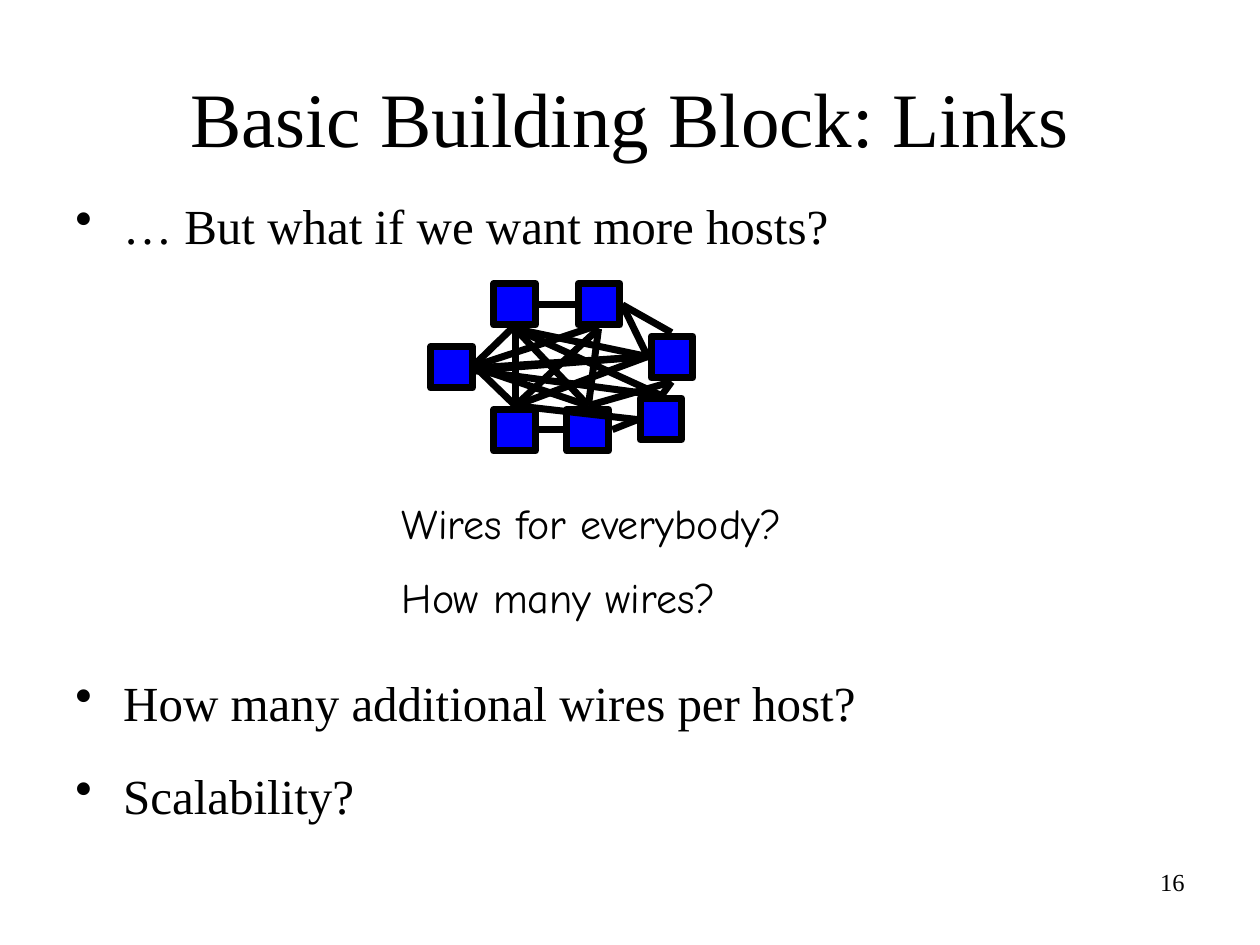
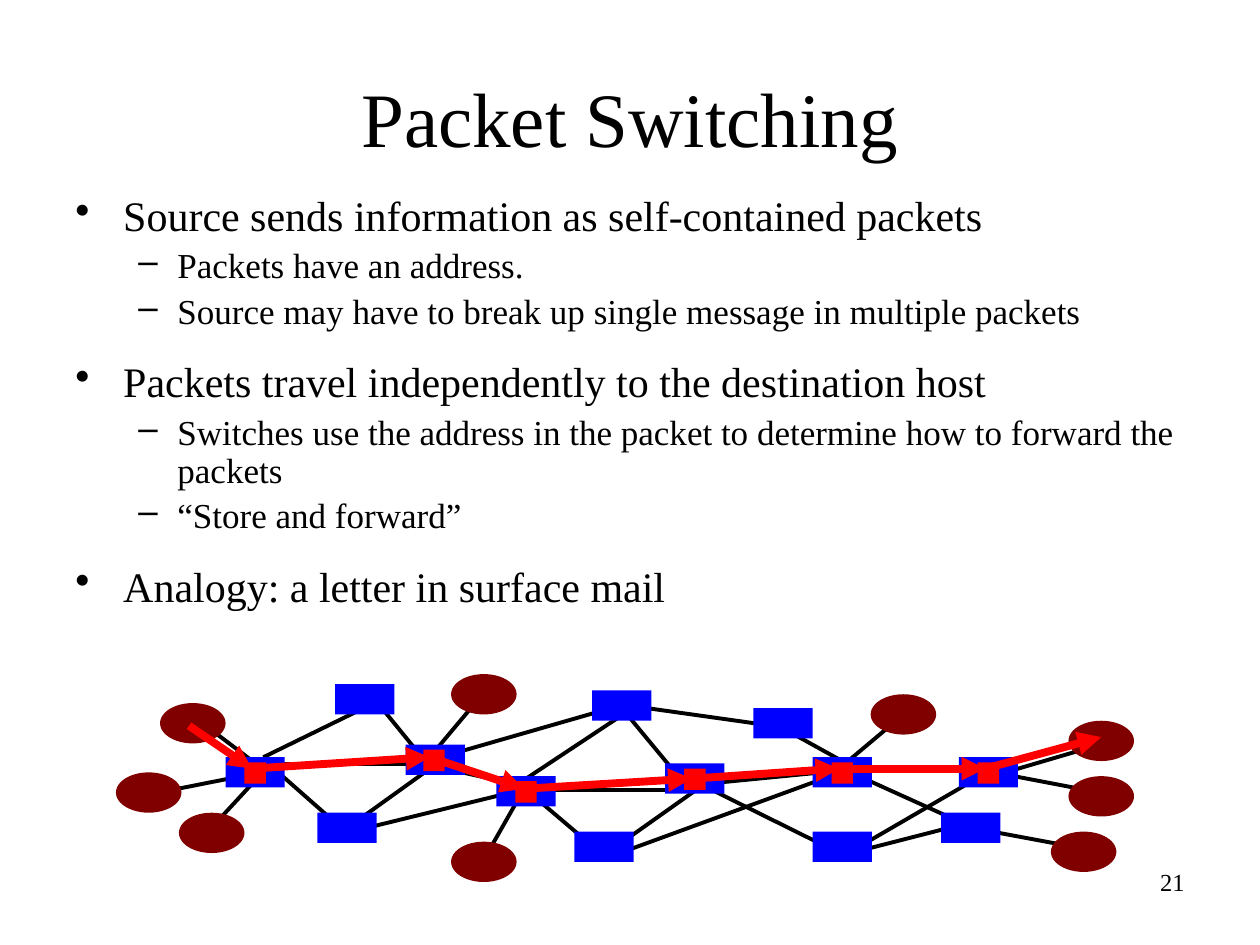
from dataclasses import dataclass

from lxml import etree
from pptx import Presentation
from pptx.dml.color import RGBColor
from pptx.enum.shapes import MSO_CONNECTOR, MSO_SHAPE
from pptx.enum.text import MSO_ANCHOR, PP_ALIGN
from pptx.oxml.ns import qn
from pptx.util import Inches, Pt

STRAIGHT = MSO_CONNECTOR.STRAIGHT
RECTANGLE, OVAL = MSO_SHAPE.RECTANGLE, MSO_SHAPE.OVAL
LEFT, CENTER, RIGHT = PP_ALIGN.LEFT, PP_ALIGN.CENTER, PP_ALIGN.RIGHT
TOP, MIDDLE = MSO_ANCHOR.TOP, MSO_ANCHOR.MIDDLE

COLORS = {"ink": "000000", "node": "0000FF", "host": "800000", "packet": "FF0000"}
SERIF, HANDWRITTEN = "Times New Roman", "Comic Neue"

Point = tuple[float, float]
Frame = tuple[float, float, float, float]


@dataclass(frozen=True)
class Bullet:
    mark: str
    margin: float
    hanging: float


@dataclass(frozen=True)
class Line:
    text: str
    size: float
    before: float = 0
    bullet: Bullet | None = None
    spacing: float = 1.0


@dataclass(frozen=True)
class NodeStyle:
    shape: int
    width: float
    height: float
    fill: str
    outline: float = 0


@dataclass(frozen=True)
class WireStyle:
    color: str
    width: float
    arrow: bool = False


DOT = Bullet("•", 0.38, 0.38)
DASH = Bullet("–", 0.81, 0.31)

COMPUTER = NodeStyle(RECTANGLE, 0.33, 0.33, "node", outline=4)
SWITCH = NodeStyle(RECTANGLE, 0.47, 0.24, "node")
HOST = NodeStyle(OVAL, 0.52, 0.32, "host")
PACKET = NodeStyle(RECTANGLE, 0.17, 0.17, "packet")

MESH_WIRE = WireStyle("ink", 4)
NETWORK_LINK = WireStyle("ink", 2.25)
PACKET_HOP = WireStyle("packet", 4.5, arrow=True)

# Full mesh of computers: the ports where wires meet, then wires by start.
COMPUTERS = [(3.92, 2.25), (5.17, 2.67), (4.59, 2.25), (3.42, 2.75),
             (3.92, 3.25), (4.5, 3.25), (5.08, 3.16)]
WEST, WEST_EDGE, WEST_LOW = (3.78, 2.92), (3.75, 2.91), (3.75, 2.94)
NORTH_WEST, NORTH_EAST = (4.09, 2.61), (4.75, 2.61)
NORTH_EAST_SIDE = (4.94, 2.42)
EAST, EAST_TOP, EAST_BOTTOM = (5.14, 2.83), (5.33, 2.64), (5.33, 3.03)
SOUTH_WEST, SOUTH, SOUTH_EAST = (4.09, 3.22), (4.67, 3.22), (5.25, 3.14)
SOUTH_EAST_SIDE = (5.06, 3.33)
MESH = {
    WEST_EDGE: [(4.09, 2.58), (4.75, 2.58)],
    WEST: [EAST, SOUTH, SOUTH_WEST],
    WEST_LOW: [SOUTH_EAST, EAST],
    (4.28, 2.42): [(4.56, 2.42)],
    NORTH_EAST_SIDE: [EAST_TOP, EAST],
    EAST_BOTTOM: [SOUTH_EAST, SOUTH],
    (4.86, 3.41): [SOUTH_EAST_SIDE],
    (4.28, 3.41): [(4.47, 3.41)],
    NORTH_WEST: [EAST, SOUTH_EAST, SOUTH, SOUTH_WEST],
    NORTH_EAST: [SOUTH, SOUTH_WEST],
    EAST: [SOUTH_WEST],
    SOUTH_EAST_SIDE: [SOUTH_WEST],
}

# Switched network: links by start, then the nodes they join.
LINKS = {
    (3.83, 5.51): [(3.41, 6.01)],
    (4.16, 6.26): [(3.83, 6.84)],
    (7.16, 5.68): [(6.66, 6.1)],
    (7.71, 6.57): [(8.57, 6.73)],
    (7.98, 6.13): [(8.66, 5.93)],
    (7.89, 6.13): [(8.78, 6.3)],
    (4.19, 6.28): [(4.79, 6.79)],
    (5.42, 6.27): [(4.27, 6.27)],
    (5.51, 6.28): [(4.79, 6.79)],
    (4.81, 6.81): [(6.7, 6.12)],
    (6.75, 6.12): [(7.87, 6.12)],
    (6.75, 6.13): [(7.7, 6.56)],
    (6.75, 6.76): [(7.87, 6.11)],
    (6.83, 6.75): [(7.61, 6.55)],
    (4.99, 5.58): [(3.39, 6.04)],
    (1.7, 5.81): [(2.03, 6.06)],
    (2.14, 6.07): [(1.65, 6.6), (2.73, 6.59)],
    (6.16, 5.75): [(6.81, 6.11)],
    (4.85, 5.58): [(6.27, 5.78)],
    (3.36, 6.06): [(2.2, 6.06)],
    (3.44, 6.08): [(2.73, 6.59), (4.12, 6.23)],
    (2.75, 6.61): [(4.3, 6.23)],
    (2.09, 6.01): [(2.99, 5.57)],
    (4.13, 6.21): [(4.93, 5.68)],
    (2.12, 6.12): [(1.21, 6.3)],
    (4.96, 5.65): [(5.44, 6.23)],
    (5.43, 6.16): [(6.7, 6.79)],
    (2.99, 5.57): [(3.39, 6.06)],
    (5.61, 6.22): [(6.73, 6.11)],
}
SWITCHES = [(1.79, 6.01), (2.52, 6.45), (7.61, 6.01), (6.45, 6.01), (6.45, 6.6),
            (5.28, 6.06), (4.7, 5.48), (4.56, 6.6), (5.98, 5.62), (3.22, 5.91),
            (3.94, 6.16), (2.66, 5.43), (7.47, 6.45)]
HOSTS = [(8.34, 6.6), (8.48, 6.16), (8.48, 5.72), (1.42, 6.45), (0.92, 6.13),
         (1.27, 5.58), (3.58, 5.35), (3.58, 6.68), (6.91, 5.51)]
PACKETS = [(1.94, 6.05), (6.6, 6.05), (5.43, 6.1), (4.09, 6.2), (3.36, 5.95),
           (7.76, 6.05)]
ROUTE = [(1.5, 5.76), (2, 6.1), (3.41, 6.01), (4.16, 6.26), (5.49, 6.18),
         (6.66, 6.1), (7.82, 6.1), (8.74, 5.85)]


def color(name: str) -> RGBColor:
    return RGBColor.from_string(COLORS[name])


def set_bullet(para, bullet: Bullet) -> None:
    properties = para._p.get_or_add_pPr()
    properties.set("marL", str(Inches(bullet.margin)))
    properties.set("indent", str(-Inches(bullet.hanging)))
    etree.SubElement(properties, qn("a:buChar")).set("char", bullet.mark)


def add_text(slide, frame: Frame, lines: list[Line], font: str = SERIF,
             align=LEFT, anchor=TOP) -> None:
    box = slide.shapes.add_textbox(*map(Inches, frame))
    text = box.text_frame
    text.word_wrap = True
    text.vertical_anchor = anchor
    for index, line in enumerate(lines):
        para = text.add_paragraph() if index else text.paragraphs[0]
        para.alignment = align
        para.line_spacing = line.spacing
        para.space_before = Pt(line.before)
        if line.bullet:
            set_bullet(para, line.bullet)
        span = para.add_run()
        span.text = line.text
        span.font.name = font
        span.font.size = Pt(line.size)
        span.font.color.rgb = color("ink")


def add_nodes(slide, style: NodeStyle, corners: list[Point]) -> None:
    """Draw one node at each top-left corner."""
    for left, top in corners:
        node = slide.shapes.add_shape(style.shape, Inches(left), Inches(top),
                                      Inches(style.width), Inches(style.height))
        node.shadow.inherit = False
        node.fill.solid()
        node.fill.fore_color.rgb = color(style.fill)
        if style.outline:
            node.line.color.rgb = color("ink")
            node.line.width = Pt(style.outline)
        else:
            node.line.fill.background()


def add_wire(slide, style: WireStyle, start: Point, end: Point) -> None:
    wire = slide.shapes.add_connector(STRAIGHT, *map(Inches, start + end))
    wire.line.color.rgb = color(style.color)
    wire.line.width = Pt(style.width)
    if style.arrow:
        tail = etree.SubElement(wire.line._get_or_add_ln(), qn("a:tailEnd"))
        tail.set("type", "triangle")
    etree.SubElement(wire._element.spPr, qn("a:effectLst"))


def add_fans(slide, style: WireStyle, fans: dict[Point, list[Point]]) -> None:
    """Draw a wire from each start to every one of its ends."""
    for start, ends in fans.items():
        for end in ends:
            add_wire(slide, style, start, end)


def add_page(deck, title: str, number: int, body: list[Line], body_height: float):
    """Add a slide with the shared title, bullet area and page number."""
    page = deck.slides.add_slide(deck.slide_layouts[6])
    add_text(page, (0.5, 0.3, 9, 1.25), [Line(title, 44)], align=CENTER, anchor=MIDDLE)
    add_text(page, (0.5, 1.5, 9, body_height), body)
    add_text(page, (7.17, 6.83, 2.33, 0.52), [Line(str(number), 14)], align=RIGHT)
    return page


def build_links(deck) -> None:
    page = add_page(deck, "Basic Building Block: Links", 16, [
        Line("… But what if we want more hosts?", 28, 0, DOT),
        Line("How many additional wires per host?", 28, 239, DOT),
        Line("Scalability?", 28, 19.6, DOT),
    ], 5.58)
    add_nodes(page, COMPUTER, COMPUTERS)
    add_fans(page, MESH_WIRE, MESH)
    add_text(page, (3.09, 3.9, 3.66, 1.1), [
        Line("Wires for everybody?", 24),
        Line("How many wires?", 24, 13.5),
    ], font=HANDWRITTEN)


def build_packet_switching(deck) -> None:
    def topic(text: str, before: float = 16.8) -> Line:
        return Line(text, 24, before, DOT, 0.9)

    def detail(text: str) -> Line:
        return Line(text, 20, 4.6, DASH, 0.9)

    page = add_page(deck, "Packet Switching", 21, [
        topic("Source sends information as self-contained packets", 0),
        detail("Packets have an address."),
        detail("Source may have to break up single message in multiple packets"),
        topic("Packets travel independently to the destination host"),
        detail("Switches use the address in the packet to determine how to "
               "forward the packets"),
        detail("“Store and forward”"),
        topic("Analogy: a letter in surface mail"),
    ], 3.71)
    add_fans(page, NETWORK_LINK, LINKS)
    add_nodes(page, SWITCH, SWITCHES)
    add_nodes(page, HOST, HOSTS)
    add_nodes(page, PACKET, PACKETS)
    for start, end in zip(ROUTE, ROUTE[1:]):
        add_wire(page, PACKET_HOP, start, end)


def main() -> None:
    deck = Presentation()
    deck.slide_width, deck.slide_height = Inches(10), Inches(7.5)
    build_links(deck)
    build_packet_switching(deck)
    deck.save("out.pptx")


if __name__ == "__main__":
    main()
